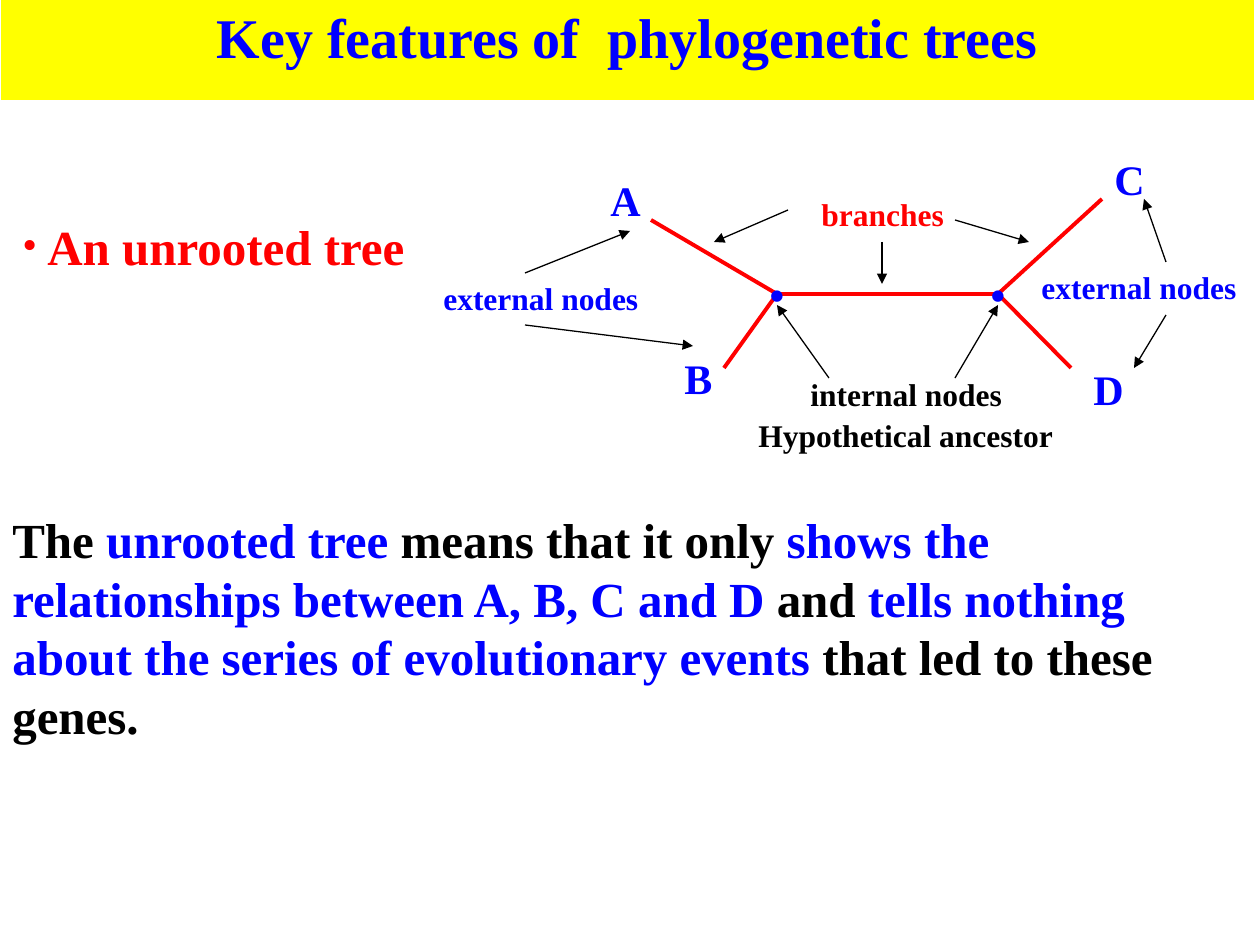
import dataclasses

import lxml.etree
import pptx
import pptx.dml.color
import pptx.enum.shapes
import pptx.enum.text
import pptx.oxml.ns
import pptx.util

ALIGN = pptx.enum.text.PP_ALIGN


@dataclasses.dataclass(frozen=True)
class Theme:
    """Colours, type sizes and line widths of the slide."""
    font: str = "Times New Roman"
    blue: str = "0000FF"
    red: str = "FF0000"
    black: str = "000000"
    yellow: str = "FFFF00"
    white: str = "FFFFFF"
    title: int = 32
    body: int = 28
    taxon: int = 24
    label: int = 18
    branch: float = 2.25
    thin: float = 0.75


THEME = Theme()


def px(length):
    """Turn pixels into EMU at 126 pixels to the inch."""
    return pptx.util.Emu(round(length * 914400 / 126))


def rgb(code):
    """Turn a hex code into a colour."""
    return pptx.dml.color.RGBColor.from_string(code)


def add_element(parent, tag, **attributes):
    """Append a drawing element with the given attributes."""
    return lxml.etree.SubElement(parent, pptx.oxml.ns.qn(tag), attributes)


def style(paragraph, size, color=None):
    """Set the bold serif type of a paragraph."""
    font = paragraph.font
    font.name, font.size, font.bold = THEME.font, pptx.util.Pt(size), True
    if color:
        font.color.rgb = rgb(color)


def add_title(slide, text):
    """Fill the title placeholder as a yellow banner."""
    title = slide.shapes.title
    title.left, title.top, title.width, title.height = map(px, (0, -4, 1255, 81))
    title.fill.solid()
    title.fill.fore_color.rgb = rgb(THEME.yellow)
    title.line.color.rgb = rgb(THEME.white)
    title.line.width = pptx.util.Pt(THEME.thin)
    frame = title.text_frame
    frame.text = text
    frame.word_wrap = True
    frame.auto_size = pptx.enum.text.MSO_AUTO_SIZE.SHAPE_TO_FIT_TEXT
    frame.vertical_anchor = pptx.enum.text.MSO_ANCHOR.TOP
    frame.paragraphs[0].alignment = ALIGN.CENTER
    style(frame.paragraphs[0], THEME.title, THEME.blue)


def add_text(slide, box, text=""):
    """Add a wrapping text box and return its paragraph."""
    frame = slide.shapes.add_textbox(*map(px, box)).text_frame
    frame.word_wrap = True
    frame.auto_size = pptx.enum.text.MSO_AUTO_SIZE.SHAPE_TO_FIT_TEXT
    frame.text = text
    return frame.paragraphs[0]


def add_bullet(slide, box, text):
    """Add a red bulleted line."""
    paragraph = add_text(slide, box, text)
    indent = px(25)
    properties = paragraph._p.get_or_add_pPr()
    properties.set("marL", str(indent))
    properties.set("indent", str(-indent))
    add_element(properties, "a:buSzPct", val="86000")
    add_element(properties, "a:buFont", typeface=THEME.font)
    add_element(properties, "a:buChar", char="•")
    style(paragraph, THEME.body, THEME.red)


def add_line(slide, ends, color, width, arrow=False):
    """Draw a straight line, with an arrowhead at its end if asked."""
    line = slide.shapes.add_connector(
        pptx.enum.shapes.MSO_CONNECTOR.STRAIGHT, *map(px, ends))
    line.line.color.rgb = rgb(color)
    line.line.width = pptx.util.Pt(width)
    if arrow:
        add_element(line.line._get_or_add_ln(), "a:tailEnd", type="triangle")
    add_element(line._element.spPr, "a:effectLst")


def add_tree(slide):
    """Draw the unrooted tree with its taxa and internal nodes."""
    left_node, right_node = (777, 294), (998, 294)
    branches = [
        (left_node, right_node),
        (left_node, (651, 220)), (left_node, (724, 368)),
        (right_node, (1102, 199)), (right_node, (1071, 368)),
    ]
    for start, end in branches:
        add_line(slide, start + end, THEME.red, THEME.branch)
    taxa = {"A": (598, 168), "B": (672, 346), "C": (1102, 147), "D": (1081, 357)}
    for name, corner in taxa.items():
        style(add_text(slide, corner + (63, 63), name), THEME.taxon, THEME.blue)
    for x, y in (left_node, right_node):
        dot = add_text(slide, (x - 20, y - 32, 40, 63), "•")
        dot.alignment = ALIGN.CENTER
        style(dot, THEME.taxon, THEME.blue)


def add_annotations(slide):
    """Label the parts of the tree and point arrows at them."""
    labels = [
        ("branches", (809, 189, 158), THEME.red),
        ("external nodes", (431, 273, 242), THEME.blue),
        ("external nodes", (1029, 262, 221), THEME.blue),
        ("internal nodes", (798, 369, 221), THEME.black),
        ("Hypothetical ancestor", (746, 410, 325), THEME.black),
    ]
    for text, place, color in labels:
        style(add_text(slide, place + (50,), text), THEME.label, color)
    arrows = [
        (882, 242, 882, 284), (788, 210, 714, 242), (955, 220, 1029, 242),
        (525, 273, 630, 231), (525, 325, 693, 346),
        (1166, 262, 1144, 199), (1166, 315, 1134, 368),
        (829, 378, 777, 305), (955, 378, 998, 305),
    ]
    for ends in arrows:
        add_line(slide, ends, THEME.black, THEME.thin, arrow=True)


def add_explanation(slide, box, phrases):
    """Write a paragraph whose phrases alternate black and blue."""
    paragraph = add_text(slide, box)
    for index, phrase in enumerate(phrases):
        run = paragraph.add_run()
        run.text = phrase
        run.font.color.rgb = rgb(THEME.blue if index % 2 else THEME.black)
    style(paragraph, THEME.body)


def main():
    """Build the slide and save it."""
    presentation = pptx.Presentation()
    presentation.slide_width, presentation.slide_height = px(1260), px(945)
    slide = presentation.slides.add_slide(presentation.slide_layouts[5])
    add_title(slide, "Key features of  phylogenetic trees")
    add_bullet(slide, (10, 210, 441, 72), "An unrooted tree")
    add_tree(slide)
    add_annotations(slide)
    add_explanation(slide, (0, 503, 1260, 251), [
        "The ", "unrooted tree ", "means that it only ",
        "shows the relationships between A, B, C and D ", "and ",
        "tells nothing about the series of evolutionary events ",
        "that led to these genes.",
    ])
    presentation.save("out.pptx")


if __name__ == "__main__":
    main()
